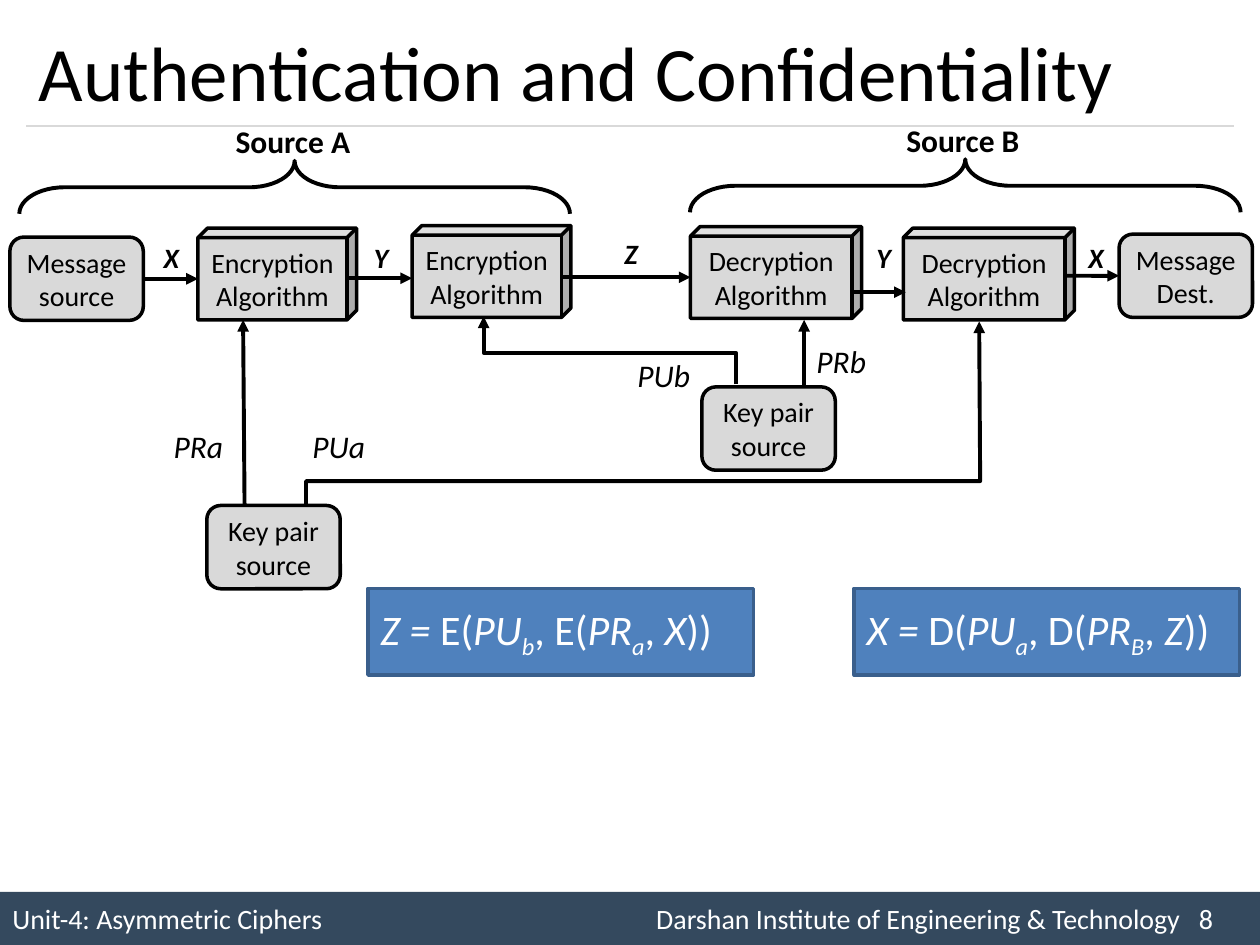
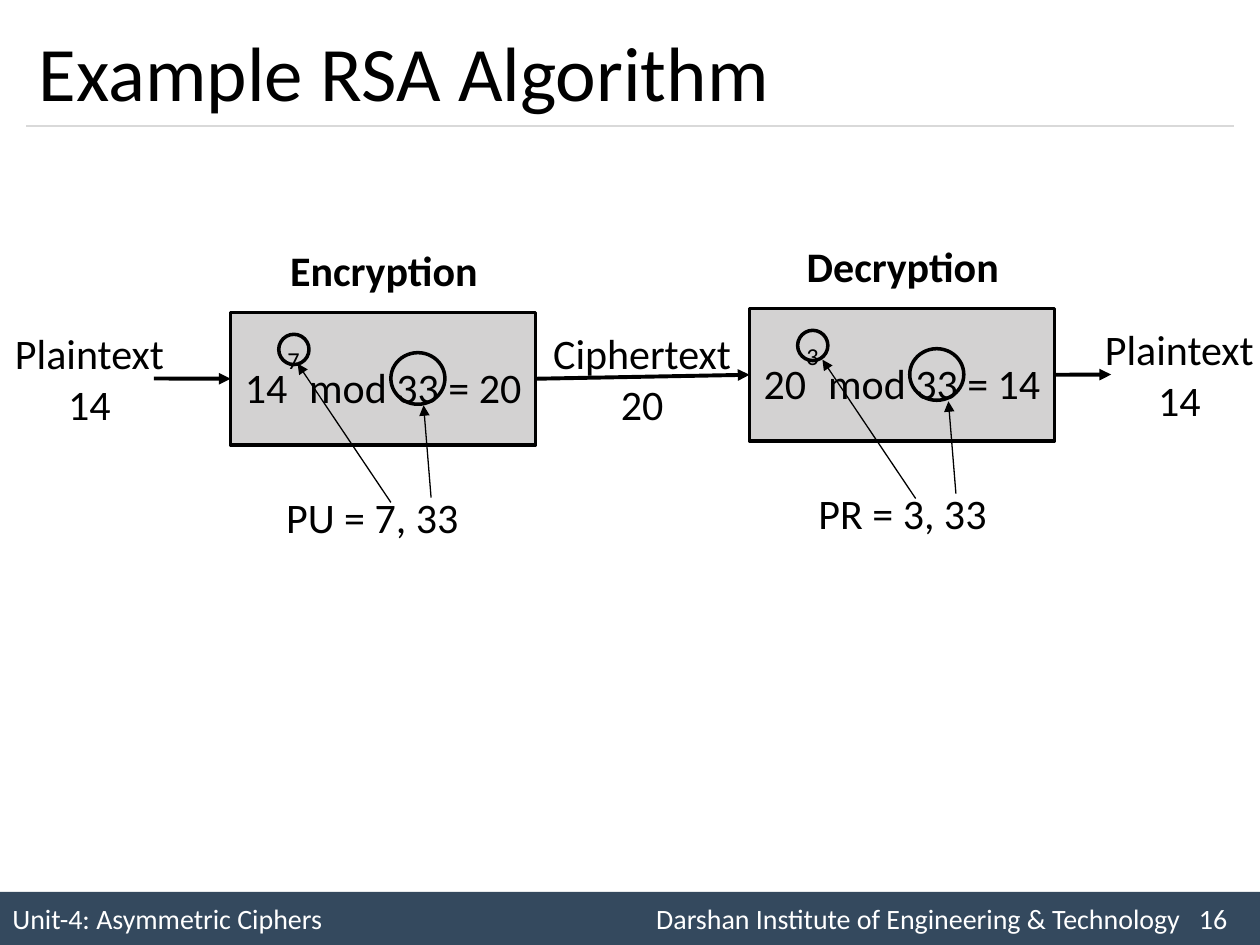
import pptx
import pptx.util
import pptx.dml.color
import pptx.enum.shapes
import pptx.enum.text
import pptx.oxml.ns
from lxml import etree

Cm, Pt = pptx.util.Cm, pptx.util.Pt
SHAPE = pptx.enum.shapes.MSO_SHAPE
ALIGN = pptx.enum.text.PP_ALIGN
ANCHOR = pptx.enum.text.MSO_ANCHOR
qn = pptx.oxml.ns.qn

FONT = "Calibri"
BLACK, WHITE = "000000", "FFFFFF"
BAND, RULE = "34495E", "D9D9D9"
BLOCK, STAGE = "D9D9D9", "D3D2D2"
FORMULA, FORMULA_EDGE = "4F81BD", "3A5F8C"


def rgb(color):
    return pptx.dml.color.RGBColor.from_string(color)


def style_font(font, size, color=BLACK, bold=False, italic=False):
    font.name, font.size = FONT, Pt(size)
    font.bold, font.italic = bold, italic
    font.color.rgb = rgb(color)


def paint(sp, fill=None, line=BLACK, width=2):
    sp.shadow.inherit = False
    if fill:
        sp.fill.solid()
        sp.fill.fore_color.rgb = rgb(fill)
    else:
        sp.fill.background()
    if line:
        sp.line.color.rgb = rgb(line)
        sp.line.width = Pt(width)
    else:
        sp.line.fill.background()


def write(sp, text, size, color=BLACK, align=ALIGN.CENTER, **style):
    tf = sp.text_frame
    tf.word_wrap = True
    tf.text = text
    for p in tf.paragraphs:
        p.alignment = align
        for r in p.runs:
            style_font(r.font, size, color, **style)


def write_runs(sp, parts, size, color, align):
    tf = sp.text_frame
    tf.word_wrap = True
    p = tf.paragraphs[0]
    p.alignment = align
    for text, italic, baseline in parts:
        r = p.add_run()
        r.text = text
        style_font(r.font, size, color, italic=italic)
        if baseline:
            r.font._element.set("baseline", str(baseline * 1000))


def add_shape(slide, kind, x, y, w, h, fill=None, line=BLACK, width=2):
    sp = slide.shapes.add_shape(kind, Cm(x), Cm(y), Cm(w), Cm(h))
    paint(sp, fill, line, width)
    return sp


def add_label(slide, text, x, y, w, h, size, align=ALIGN.LEFT, **style):
    sp = slide.shapes.add_textbox(Cm(x), Cm(y), Cm(w), Cm(h))
    write(sp, text, size, align=align, **style)


def add_head(sp):
    etree.SubElement(sp.line._get_or_add_ln(), qn("a:tailEnd"), type="triangle")


def add_line(slide, x1, y1, x2, y2, color=BLACK, width=2.25, head=True,
             begin=None, end=None):
    sp = slide.shapes.add_connector(
        pptx.enum.shapes.MSO_CONNECTOR.STRAIGHT, Cm(x1), Cm(y1), Cm(x2), Cm(y2))
    sp.line.color.rgb = rgb(color)
    sp.line.width = Pt(width)
    if head:
        add_head(sp)
    etree.SubElement(sp._element.spPr, qn("a:effectLst"))
    if begin:
        sp.begin_connect(begin, 3)
    if end:
        sp.end_connect(end, 1)


def add_route(slide, x, y, points):
    (start, *rest) = [(Cm(x + dx), Cm(y + dy)) for dx, dy in points]
    builder = slide.shapes.build_freeform(*start)
    builder.add_line_segments(rest, close=False)
    sp = builder.convert_to_shape()
    paint(sp, width=2.25)
    add_head(sp)


def add_title(slide, text, x, y, w, h):
    sp = slide.shapes.title
    sp.left, sp.top, sp.width, sp.height = Cm(x), Cm(y), Cm(w), Cm(h)
    write(sp, text, 44, align=ALIGN.LEFT)
    sp.text_frame.vertical_anchor = ANCHOR.MIDDLE
    sp.text_frame.auto_size = pptx.enum.text.MSO_AUTO_SIZE.NONE
    add_line(slide, x, y + h, x + w, y + h, RULE, 0.75, head=False)


def add_footer(slide, number, x, y, w, h):
    sp = add_shape(slide, SHAPE.RECTANGLE, x, y, w, h, BAND, None)
    write(sp, "Unit-4: Asymmetric Ciphers"
              "\tDarshan Institute of Engineering & Technology"
              f"\t{number}", 16, WHITE, ALIGN.LEFT)
    pPr = sp.text_frame.paragraphs[0]._p.get_or_add_pPr()
    tabs = etree.SubElement(pPr, qn("a:tabLst"))
    for pos in (12.98, 23.92):
        etree.SubElement(tabs, qn("a:tab"), pos=str(Cm(pos)), algn="l")


def new_slide(prs, title, number):
    slide = prs.slides.add_slide(prs.slide_layouts[5])
    add_footer(slide, number, 0, 17.98, 25.4, 1.07)
    add_title(slide, title, 0.53, 0.3, 24.34, 2.24)
    return slide


def add_block(slide, kind, text, x, y, w, h):
    sp = add_shape(slide, kind, x, y, w, h, BLOCK)
    if kind == SHAPE.CUBE:
        sp.adjustments[0] = 0.104
    write(sp, text, 16)
    sp.text_frame.margin_left = sp.text_frame.margin_right = 0
    return sp


def add_round_block(slide, text, x, y):
    return add_block(slide, SHAPE.ROUNDED_RECTANGLE, text, x, y, 2.69, 1.68)


def add_chain(slide, x, y):
    source = add_round_block(slide, "Message\nsource", x, y + 0.23)
    for name, dx, dy, w in (("Encryption", 3.79, 0.05, 3.2),
                            ("Encryption", 8.11, 0, 3.2),
                            ("Decryption", 13.72, 0.02, 3.45),
                            ("Decryption", 18.01, 0.05, 3.45)):
        add_block(slide, SHAPE.CUBE, f"{name}\nAlgorithm", x + dx, y + dy, w, 1.85)
    dest = add_round_block(slide, "Message\nDest.", x + 22.36, y + 0.17)

    for name, x1, x2, dy, label_x, label_y, begin, end in (
            ("X", 2.69, 3.79, 1.07, 2.85, 0.17, source, None),
            ("Y", 6.81, 8.11, 1.06, 7.09, 0.17, None, None),
            ("Z", 11.1, 13.72, 1.04, 12.14, 0.1, None, None),
            ("Y", 17.02, 18.06, 1.34, 17.22, 0.17, None, None),
            ("X", 21.31, 22.36, 1.01, 21.49, 0.17, None, dest)):
        add_line(slide, x + x1, y + dy, x + x2, y + dy, begin=begin, end=end)
        add_label(slide, name, x + label_x, y + label_y, 1, 0.94, 16,
                  bold=True, italic=True)


def add_side(slide, name, x, y, w, h):
    sp = add_shape(slide, SHAPE.RIGHT_BRACE, x + (w - h) / 2, y + (h - w) / 2,
                   h, w, width=2.25)
    sp.rotation = 270
    sp.adjustments[0], sp.adjustments[1] = 0.853, 0.5
    add_label(slide, name, x + 4.11, y - 0.9, 2.9, 1.02, 18, bold=True)


def add_keys(slide, x, y):
    for dx, dy in ((0, 3.84), (9.98, 1.45)):
        add_round_block(slide, "Key pair\nsource", x + dx, y + dy)
    add_line(slide, x + 0.76, y + 3.84, x + 0.73, y + 0.1)
    add_line(slide, x + 12.04, y + 1.45, x + 12.04, y + 0.1)
    add_route(slide, x, y, [(2, 3.84), (2, 3.35), (15.59, 3.35), (15.57, 0.13)])
    add_route(slide, x, y, [(10.66, 1.4), (10.66, 0.76), (5.58, 0.76), (5.58, 0.03)])
    for name, dx, dy in (("PRa", -0.92, 2.13), ("PUa", 1.88, 2.13),
                         ("PRb", 12.04, 0.43), ("PUb", 8.43, 0.71)):
        add_label(slide, name, x + dx, y + dy, 1.8, 1.02, 18, italic=True)


def add_formula(slide, result, op, outer, inner, value, x, y):
    sp = add_shape(slide, SHAPE.RECTANGLE, x, y, 7.77, 1.75, FORMULA, FORMULA_EDGE)
    parts = [(f"{result} = ", True, 0),
             (f"{op}(", False, 0), ("PU", True, 0), (outer, True, -25),
             (f", {op}(", False, 0), ("PR", True, 0), (inner, True, -25),
             (", ", False, 0), (value, True, 0), ("))", False, 0)]
    write_runs(sp, parts, 24, WHITE, ALIGN.LEFT)


def add_stage(slide, name, base, power, result, key, x, y, key_x, arrow_x):
    box = add_shape(slide, SHAPE.RECTANGLE, x, y, 6.15, 2.67, STAGE)
    parts = [(base, False, 0), (power, False, 80), (f" mod 33 = {result}", False, 0)]
    write_runs(box, parts, 24, BLACK, ALIGN.CENTER)
    add_label(slide, name, x + 0.84, y - 1.5, 4.5, 1.27, 24, ALIGN.CENTER, bold=True)
    add_label(slide, f"{key} = {power}, 33", x + key_x, y + 3.49, 4.19, 1.27, 24,
              ALIGN.CENTER)
    add_shape(slide, SHAPE.OVAL, x + 0.97, y + 0.44, 0.61, 0.61)
    add_shape(slide, SHAPE.OVAL, x + 3.23, y + 0.81, 1.09, 1.04)
    left = x + arrow_x
    for x1, y1, x2, y2 in ((1.88, 3.83, 0, 1.03), (2.69, 3.73, 2.54, 1.87)):
        add_line(slide, left + x1, y + y1, left + x2, y + y2, width=0.75)
    return box


def add_flow(slide, x, y):
    for text, dx, dy, w in (("Plaintext\n14", 0, 0.26, 3.61),
                            ("Ciphertext\n20", 10.85, 0.26, 4.19),
                            ("Plaintext\n14", 21.97, 0.18, 3.61)):
        add_label(slide, text, x + dx, y + dy, w, 2.31, 24, ALIGN.CENTER)
    encrypt = add_stage(slide, "Encryption", "14", "7", "20", "PU",
                        x + 4.65, y + 0.08, 0.76, 1.35)
    decrypt = add_stage(slide, "Decryption", "20", "3", "14", "PR",
                        x + 15.11, y, 0.99, 1.47)
    add_line(slide, x + 3.1, y + 1.41, x + 4.65, y + 1.41, end=encrypt)
    add_line(slide, x + 10.8, y + 1.41, x + 15.11, y + 1.33,
             begin=encrypt, end=decrypt)
    add_line(slide, x + 21.26, y + 1.33, x + 22.4, y + 1.33, begin=decrypt)


def main():
    prs = pptx.Presentation()
    prs.slide_width, prs.slide_height = Cm(25.4), Cm(19.05)

    slide = new_slide(prs, "Authentication and Confidentiality", 8)
    add_chain(slide, 0.2, 4.55)
    add_keys(slide, 4.17, 6.35)
    add_side(slide, "Source A", 0.39, 3.24, 11.1, 1.07)
    add_side(slide, "Source B", 13.91, 3.21, 11.1, 1.07)
    add_formula(slide, "Z", "E", "b", "a", "X", 7.42, 11.86)
    add_formula(slide, "X", "D", "a", "B", "Z", 17.22, 11.86)

    slide = new_slide(prs, "Example RSA Algorithm", 16)
    add_flow(slide, 0, 6.22)

    prs.save("out.pptx")


if __name__ == "__main__":
    main()
